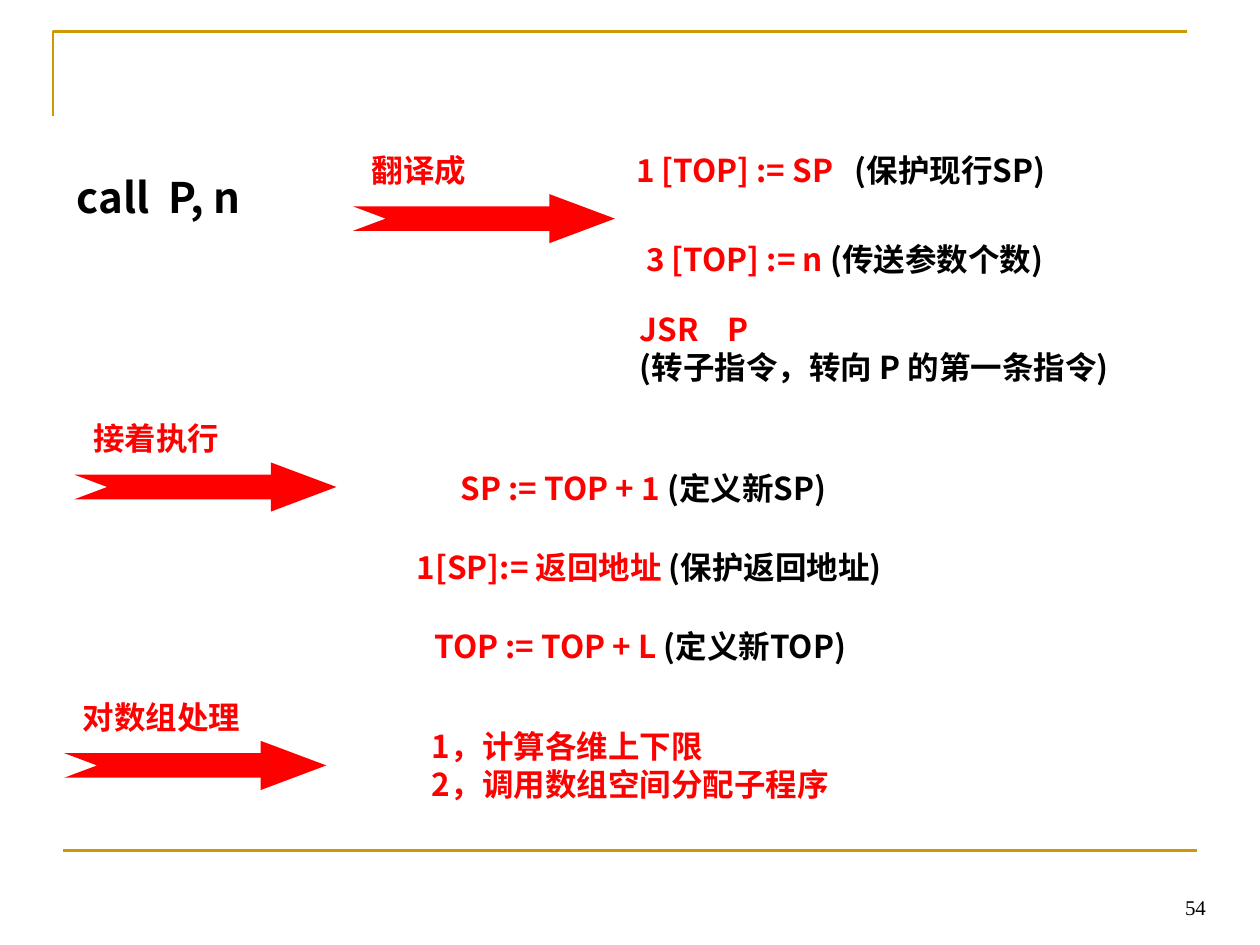
from dataclasses import dataclass

from lxml import etree
from pptx import Presentation
from pptx.dml.color import RGBColor
from pptx.enum.shapes import MSO_CONNECTOR, MSO_SHAPE
from pptx.enum.text import MSO_ANCHOR, PP_ALIGN
from pptx.oxml.ns import qn
from pptx.util import Inches, Pt

STRAIGHT = MSO_CONNECTOR.STRAIGHT
NOTCHED_ARROW = MSO_SHAPE.NOTCHED_RIGHT_ARROW
TOP, BOTTOM = MSO_ANCHOR.TOP, MSO_ANCHOR.BOTTOM
LEFT, RIGHT = PP_ALIGN.LEFT, PP_ALIGN.RIGHT

WIDTH, HEIGHT = 10, 7.5
ARROW_WIDTH, ARROW_HEIGHT = 2.08, 0.39
LABEL_HEIGHT = 0.4


@dataclass(frozen=True)
class Theme:
    ink: RGBColor = RGBColor(0, 0, 0)
    code: RGBColor = RGBColor(0xFF, 0, 0)
    rule: RGBColor = RGBColor(0xCC, 0x99, 0)
    font: str = "Noto Sans CJK SC"
    number_font: str = "Times New Roman"
    heading: int = 24
    body: int = 18
    number: int = 12
    rule_width: float = 1.5
    leading: float = 1.2


THEME = Theme()


def add_text(slide, box, lines, *, size=THEME.body, font=THEME.font,
             bold=True, align=LEFT, anchor=TOP):
    """Each line is a list of (text, colour) pieces."""
    frame = slide.shapes.add_textbox(*map(Inches, box)).text_frame
    frame.word_wrap = True
    frame.vertical_anchor = anchor
    for index, pieces in enumerate(lines):
        paragraph = frame.paragraphs[0] if index == 0 else frame.add_paragraph()
        paragraph.alignment = align
        paragraph.line_spacing = Pt(size * THEME.leading)
        for text, color in pieces:
            run = paragraph.add_run()
            run.text = text
            run.font.size = Pt(size)
            run.font.bold = bold
            run.font.name = font
            run.font.color.rgb = color
            # Chinese characters take the East Asian font
            east_asian = etree.SubElement(run.font._element, qn("a:ea"))
            east_asian.set("typeface", font)


def style_rule(line):
    line.color.rgb = THEME.rule
    line.width = Pt(THEME.rule_width)


def add_frame(slide):
    """Corner rule at the top and straight rule at the bottom."""
    left, top = 0.42, 0.25
    builder = slide.shapes.build_freeform(
        Inches(left), Inches(top + 0.67))
    builder.add_line_segments(
        [(Inches(left), Inches(top)), (Inches(left + 9), Inches(top))],
        close=False)
    corner = builder.convert_to_shape()
    corner.shadow.inherit = False
    corner.fill.background()
    style_rule(corner.line)

    base = HEIGHT * 0.9
    footer = slide.shapes.add_connector(
        STRAIGHT, Inches(WIDTH * 0.05), Inches(base),
        Inches(WIDTH * 0.95), Inches(base))
    style_rule(footer.line)
    etree.SubElement(footer._element.spPr, qn("a:effectLst"))


def add_stage(slide, left, top, label):
    """Notched arrow with its label above it."""
    add_text(slide, (left + 0.05, top - ARROW_HEIGHT, ARROW_WIDTH, LABEL_HEIGHT),
             [[(label, THEME.code)]])
    arrow = slide.shapes.add_shape(
        NOTCHED_ARROW, Inches(left), Inches(top),
        Inches(ARROW_WIDTH), Inches(ARROW_HEIGHT))
    arrow.shadow.inherit = False
    arrow.adjustments[0] = 0.5
    arrow.adjustments[1] = ARROW_WIDTH / 4 / ARROW_HEIGHT
    arrow.fill.solid()
    arrow.fill.fore_color.rgb = THEME.code
    arrow.line.fill.background()


def main():
    prs = Presentation()
    prs.slide_width, prs.slide_height = Inches(WIDTH), Inches(HEIGHT)
    slide = prs.slides.add_slide(prs.slide_layouts[6])
    code, ink = THEME.code, THEME.ink

    add_frame(slide)
    add_text(slide, (7.17, 6.83, 2.5, 0.52), [[("54", ink)]],
             size=THEME.number, font=THEME.number_font, bold=False,
             align=RIGHT, anchor=BOTTOM)

    # The call statement and the three stages
    add_text(slide, (0.51, 1.31, 2.2, 0.5), [[("call  P, n", ink)]],
             size=THEME.heading)
    stages = [(2.8, 1.54, "翻译成"), (0.59, 3.67, "接着执行"),
              (0.51, 5.88, "对数组处理")]
    for left, top, label in stages:
        add_stage(slide, left, top, label)

    # Instructions of each stage, with their explanations
    instructions = [
        ((4.95, 1.15, 4.33, 0.4),
         [[("1 [TOP] := SP", code), ("   (保护现行SP)", ink)]]),
        ((5.03, 1.86, 4.08, 0.4),
         [[("3 [TOP] := n", code), (" (传送参数个数)", ink)]]),
        ((4.98, 2.41, 4.41, 0.7),
         [[("JSR    P", code)], [("(转子指令，转向 P 的第一条指令)", ink)]]),
        ((3.56, 3.67, 3.78, 0.4),
         [[("SP := TOP + 1 ", code), ("(定义新SP)", ink)]]),
        ((3.21, 4.3, 4.57, 0.4),
         [[("1[SP]:= 返回地址 ", code), ("(保护返回地址)", ink)]]),
        ((3.35, 4.93, 4.08, 0.4),
         [[("TOP := TOP + L ", code), ("(定义新TOP)", ink)]]),
        ((3.33, 5.72, 3.41, 0.7),
         [[("1，计算各维上下限", code)], [("2，调用数组空间分配子程序", code)]]),
    ]
    for box, lines in instructions:
        add_text(slide, box, lines)

    prs.save("out.pptx")


if __name__ == "__main__":
    main()
